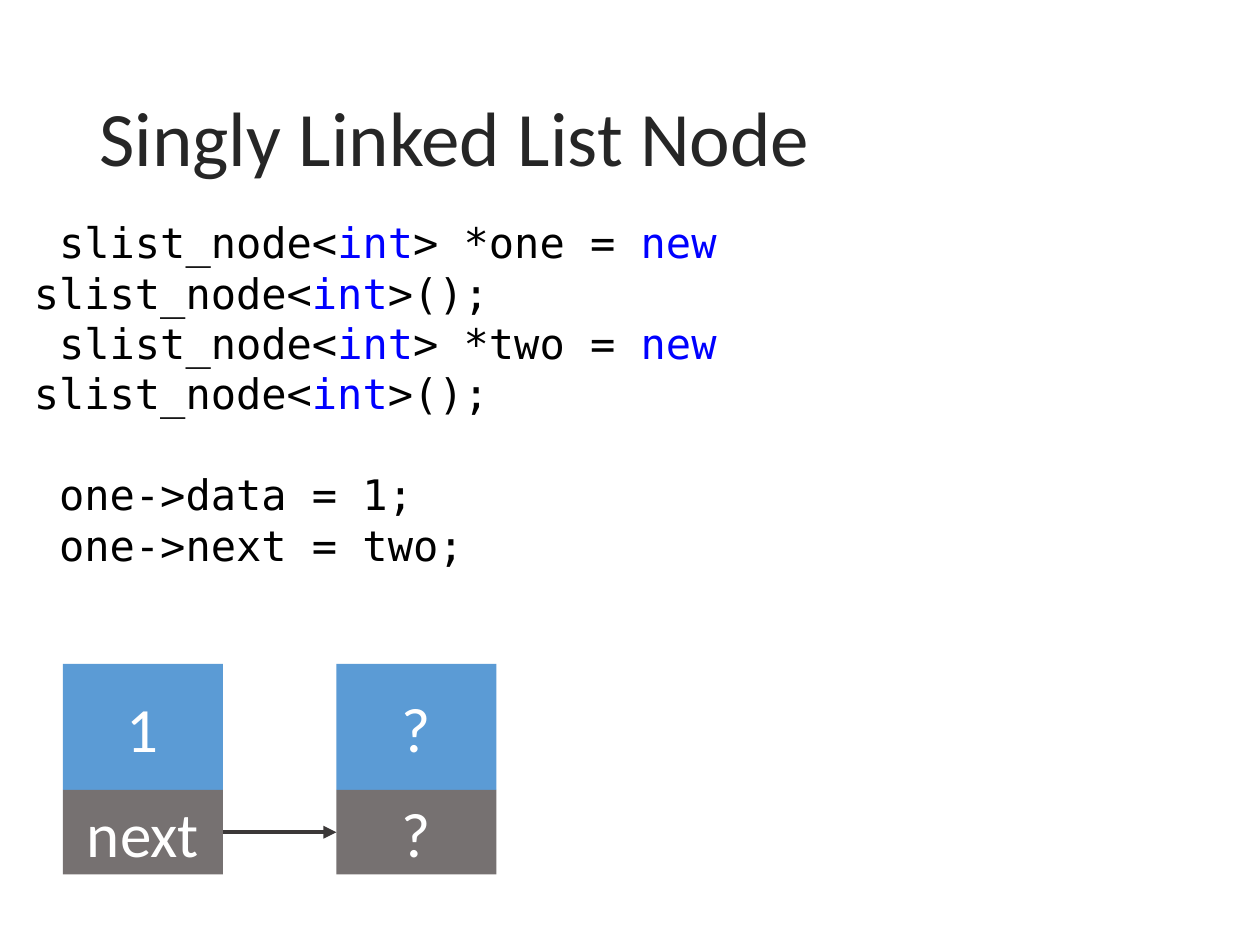
from typing import NamedTuple
from lxml.etree import SubElement
from pptx import Presentation
from pptx.dml.color import RGBColor
from pptx.enum.shapes import MSO_CONNECTOR, MSO_SHAPE
from pptx.enum.text import MSO_ANCHOR, PP_ALIGN
from pptx.oxml.ns import qn
from pptx.util import Inches, Pt

WIDE, HIGH = 10, 7.5
SANS, MONO = "Calibri", "DejaVu Sans Mono"
BLACK, BLUE, WHITE = "000000", "0000FF", "FFFFFF"
LEFT, STEP, CELL = 0.5, 2.17, 1.27
TOP, SPLIT, BASE = 5.27, 6.27, 6.94


class Node(NamedTuple):
    """A list node with its data and link labels."""
    col: int
    data: str
    link: str


class Row(NamedTuple):
    """A line of code in plain and keyword runs."""
    runs: list
    gap: float = 0


def tint(code: str) -> RGBColor:
    """Turn a hex string into a colour."""
    return RGBColor.from_string(code)


def write(para, text: str, face: str, size: float, code: str) -> None:
    """Add one styled run to a paragraph."""
    run = para.add_run()
    run.text = text
    run.font.name, run.font.size = face, Pt(size)
    run.font.color.rgb = tint(code)


def frame(slide, left: float, top: float, wide: float, high: float):
    """Add a wrapping text box and return its frame."""
    box = slide.shapes.add_textbox(*map(Inches, (left, top, wide, high)))
    box.text_frame.word_wrap = True
    return box.text_frame


def title(slide, text: str) -> None:
    """Write the slide title."""
    body = frame(slide, 0.69, 0.4, 8.62, 1.45)
    body.vertical_anchor = MSO_ANCHOR.MIDDLE
    body.paragraphs[0].line_spacing = 0.9
    write(body.paragraphs[0], text, SANS, 44, "262626")


def make(name: str) -> Row:
    """Give the code row that creates a node."""
    return Row([" slist_node<", "int", f"> *{name} = ", "new",
                " slist_node<", "int", ">();"])


def listing(slide, rows: list[Row]) -> None:
    """Write code rows whose odd runs are keywords."""
    body = frame(slide, 0.17, 1.67, 8.92, 2.12)
    for i, row in enumerate(rows):
        para = body.add_paragraph() if i else body.paragraphs[0]
        para.line_spacing = Pt(28.8)
        para.space_before = Pt(row.gap)
        for j, text in enumerate(row.runs):
            write(para, text, MONO, 24, BLUE if j % 2 else BLACK)


def cell(slide, col: int, top: float, end: float, text: str, fill: str) -> None:
    """Draw one labelled part of a node."""
    left = LEFT + col * STEP
    box = slide.shapes.add_shape(
        MSO_SHAPE.RECTANGLE, *map(Inches, (left, top, CELL, end - top)))
    box.shadow.inherit = False
    box.fill.solid()
    box.fill.fore_color.rgb = tint(fill)
    box.line.fill.background()
    body = box.text_frame
    body.vertical_anchor = MSO_ANCHOR.MIDDLE
    body.paragraphs[0].alignment = PP_ALIGN.CENTER
    write(body.paragraphs[0], text, SANS, 36, WHITE)


def arrow(slide, col: int) -> None:
    """Link a node to the next one."""
    start, mid = LEFT + col * STEP + CELL, (SPLIT + BASE) / 2
    line = slide.shapes.add_connector(
        MSO_CONNECTOR.STRAIGHT,
        *map(Inches, (start, mid, start + STEP - CELL, mid)))
    line.line.color.rgb = tint("3B3838")
    line.line.width = Pt(2.5)
    props = line.element.spPr
    SubElement(props.find(qn("a:ln")), qn("a:tailEnd"), type="triangle")
    SubElement(props, qn("a:effectLst"))


def main() -> None:
    """Build and save the slide."""
    deck = Presentation()
    deck.slide_width, deck.slide_height = Inches(WIDE), Inches(HIGH)
    slide = deck.slides.add_slide(deck.slide_layouts[6])
    title(slide, "Singly Linked List Node")
    listing(slide, [make("one"), make("two"),
                    Row([" one->data = 1;"], 28.8),
                    Row([" one->next = two;"])])
    for node in (Node(0, "1", "next"), Node(1, "?", "?")):
        cell(slide, node.col, TOP, SPLIT, node.data, "5B9BD5")
        cell(slide, node.col, SPLIT, BASE, node.link, "767171")
    arrow(slide, 0)
    deck.save("out.pptx")


if __name__ == "__main__":
    main()
